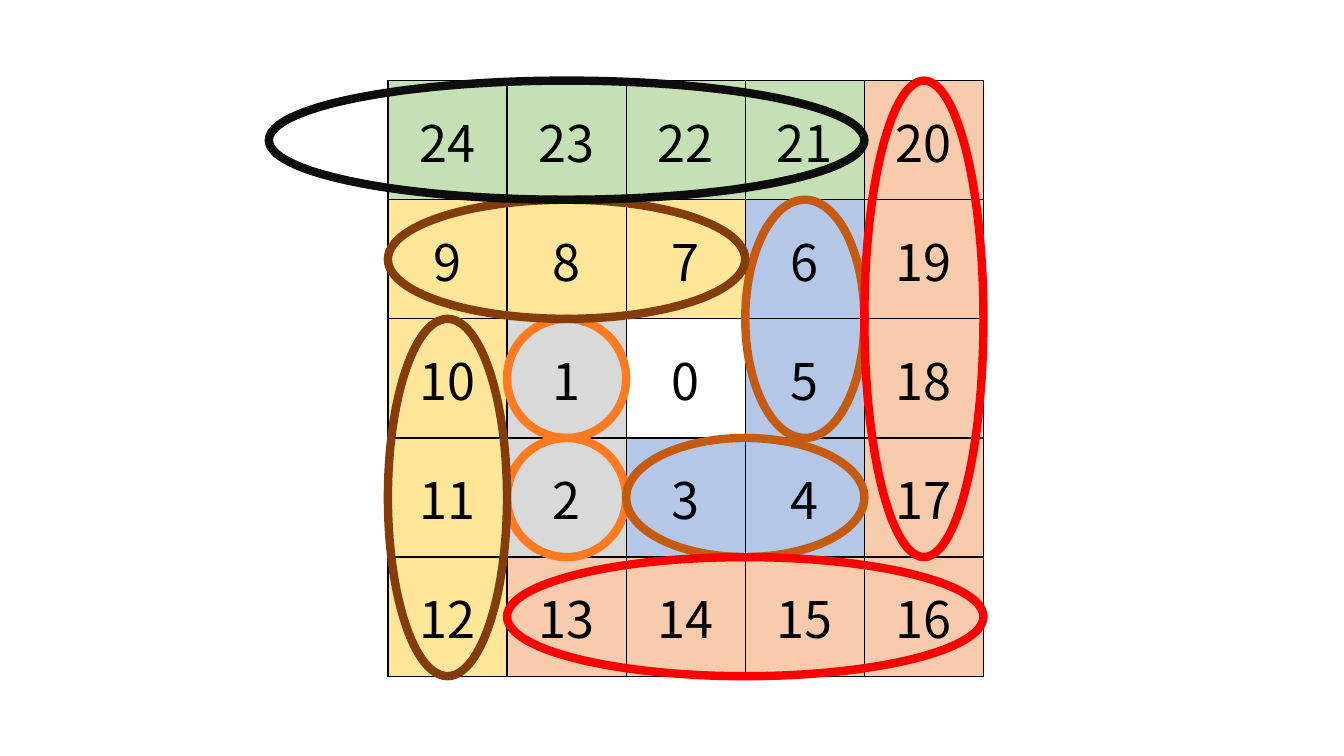
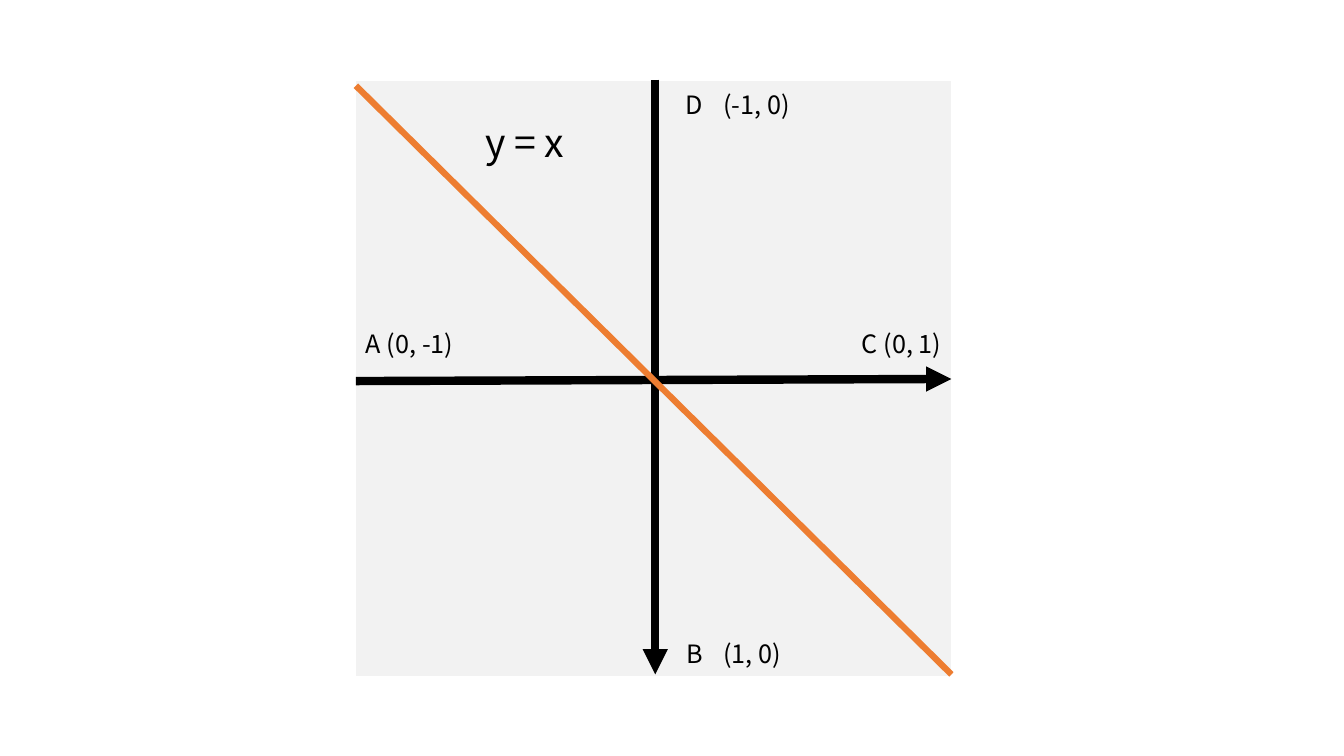
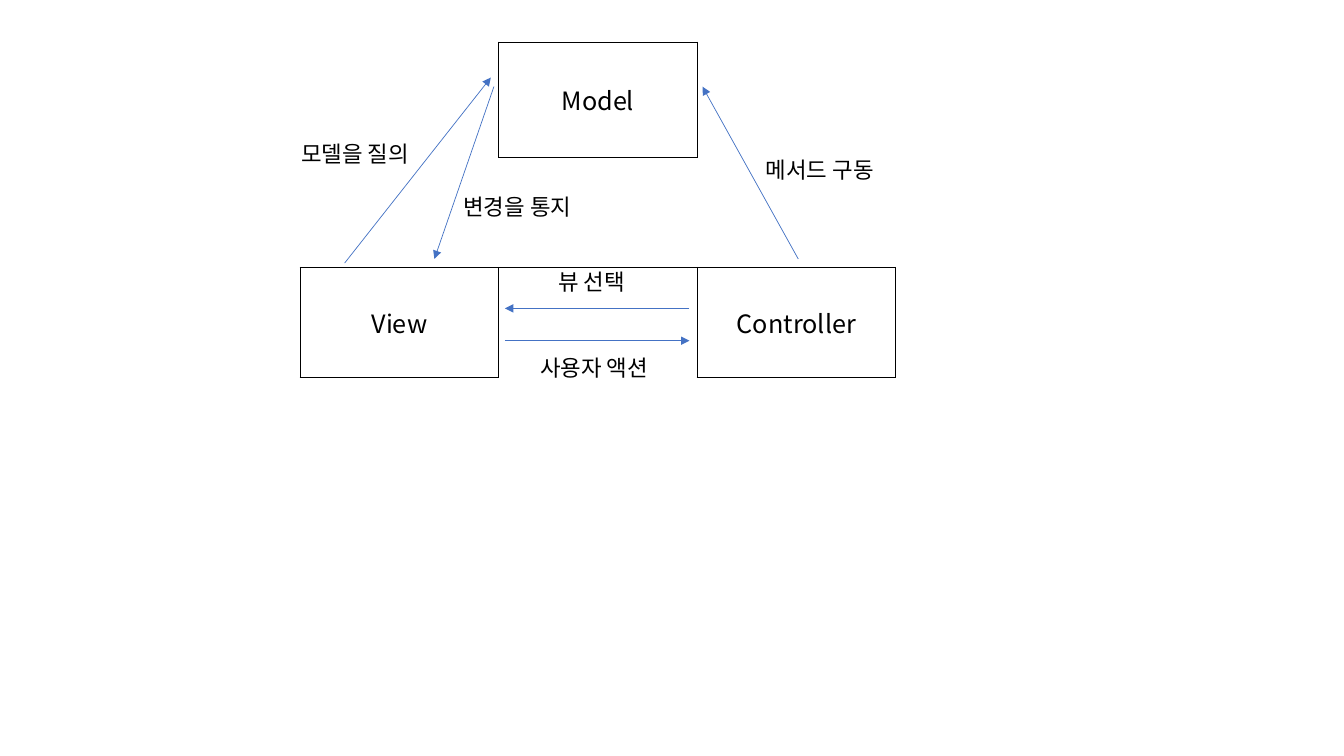
from itertools import product
from typing import NamedTuple

from lxml.etree import SubElement
from pptx import Presentation
from pptx.dml.color import RGBColor
from pptx.enum.shapes import MSO_CONNECTOR as Link, MSO_SHAPE as Shape
from pptx.enum.text import MSO_ANCHOR as Anchor, MSO_AUTO_SIZE as Auto, PP_ALIGN as Align
from pptx.oxml.ns import qn
from pptx.slide import Slide
from pptx.table import Table, _Cell as Cell
from pptx.text.text import _Paragraph as Para
from pptx.util import Pt

FONT = "Noto Sans CJK KR"
BLACK = RGBColor(0x00, 0x00, 0x00)
WHITE = RGBColor(0xFF, 0xFF, 0xFF)
PALE = RGBColor(0xF2, 0xF2, 0xF2)
GRAY = RGBColor(0xD9, 0xD9, 0xD9)
SKY = RGBColor(0xB4, 0xC7, 0xE7)
SAND = RGBColor(0xFF, 0xE6, 0x99)
PEACH = RGBColor(0xF8, 0xCB, 0xAD)
GREEN = RGBColor(0xC5, 0xE0, 0xB4)
AMBER = RGBColor(0xFF, 0x7B, 0x21)
RUST = RGBColor(0xC5, 0x5A, 0x11)
BROWN = RGBColor(0x84, 0x3C, 0x0B)
RED = RGBColor(0xFF, 0x00, 0x00)
INK = RGBColor(0x0D, 0x0D, 0x0D)
ORANGE = RGBColor(0xED, 0x7D, 0x31)
BLUE = RGBColor(0x44, 0x72, 0xC4)

SIDE = 85.08  # edge of one square cell
TOP = 57.6
SIZE = 5  # cells per side of the square grids
ALL = "LRTB"


class Entry(NamedTuple):
    text: str
    size: float = 18
    align: Align = Align.CENTER
    anchor: Anchor = Anchor.MIDDLE


class Line(NamedTuple):
    x1: float
    y1: float
    x2: float
    y2: float
    color: RGBColor = BLUE
    width: float = 0.5
    arrow: bool = True


class Label(NamedTuple):
    text: str
    left: float
    top: float
    width: float


# Shared drawing functions
def style(para: Para, text: str, size: float, align: Align = Align.LEFT) -> None:
    para.text = text
    para.alignment = align
    font = para.font
    font.size, font.name = Pt(size), FONT
    font.color.rgb = BLACK
    SubElement(para._p.pPr.find(qn("a:defRPr")), qn("a:ea"), typeface=FONT)


def edge(cell: Cell, sides: str) -> None:
    props = cell._tc.get_or_add_tcPr()
    for side in ALL:
        line = SubElement(props, qn(f"a:ln{side}"), w=str(Pt(1)))
        if side in sides:
            fill = SubElement(line, qn("a:solidFill"))
            SubElement(fill, qn("a:srgbClr"), val=str(BLACK))
        else:
            SubElement(line, qn("a:noFill"))


def fill_cell(cell: Cell, entry: Entry | None, color: RGBColor | None, sides: str) -> None:
    edge(cell, sides)
    if color is None:
        cell.fill.background()
    else:
        cell.fill.solid()
        cell.fill.fore_color.rgb = color
    if entry:
        cell.vertical_anchor = entry.anchor
        style(cell.text_frame.paragraphs[0], entry.text, entry.size, entry.align)


def add_grid(slide: Slide, count: int, left: float, top: float, width: float, height: float) -> Table:
    frame = slide.shapes.add_table(count, count, Pt(left), Pt(top), Pt(width), Pt(height))
    table = frame.table
    table.first_row = table.horz_banding = False
    return table


def add_line(slide: Slide, line: Line) -> None:
    ends = (Pt(v) for v in line[:4])
    link = slide.shapes.add_connector(Link.STRAIGHT, *ends)
    link.line.color.rgb = line.color
    link.line.width = Pt(line.width)
    props = link.element.spPr
    if line.arrow:
        SubElement(props.find(qn("a:ln")), qn("a:tailEnd"), type="triangle")
    SubElement(props, qn("a:effectLst"))


def add_oval(slide: Slide, left: float, top: float, width: float, height: float, color: RGBColor) -> None:
    oval = slide.shapes.add_shape(Shape.OVAL, Pt(left), Pt(top), Pt(width), Pt(height))
    oval.shadow.inherit = False
    oval.fill.background()
    oval.line.color.rgb = color
    oval.line.width = Pt(6)


def add_label(slide: Slide, label: Label) -> None:
    box = slide.shapes.add_textbox(Pt(label.left), Pt(label.top), Pt(label.width), Pt(26.6))
    frame = box.text_frame
    frame.word_wrap = False
    frame.auto_size = Auto.SHAPE_TO_FIT_TEXT
    style(frame.paragraphs[0], label.text, 16)


# Slide 1: numbers spiral out from the centre, one oval for each leg
def draw_spiral(slide: Slide) -> None:
    left = 277.1
    fills = (GRAY, SKY, SAND, PEACH, GREEN)
    rings = (AMBER, RUST, BROWN, RED, INK)
    turns = ((0, -1), (1, 0), (0, 1), (-1, 0))
    table = add_grid(slide, SIZE, left, TOP, SIZE * SIDE, SIZE * SIDE)

    row = col = SIZE // 2
    fill_cell(table.cell(row, col), Entry("0", 36), WHITE, ALL)
    num = 0
    for leg in range(2 * SIZE - 1):
        pair = leg // 2
        down, right = turns[leg % 4]
        steps = []
        for _ in range(pair + 1):
            row, col, num = row + down, col + right, num + 1
            steps.append((row, col))
            if col >= 0:  # the last leg runs one step past the grid
                fill_cell(table.cell(row, col), Entry(str(num), 36), fills[pair], ALL)
        (y1, x1), (y2, x2) = min(steps), max(steps)
        add_oval(slide, left + x1 * SIDE, TOP + y1 * SIDE,
                 (x2 - x1 + 1) * SIDE, (y2 - y1 + 1) * SIDE, rings[pair])


# Slide 2: axes with the row axis pointing down
def draw_axes(slide: Slide) -> None:
    left = 254.2
    right = left + SIZE * SIDE
    marks = {
        (0, 1): Entry("y = x", 28, Align.LEFT),
        (0, 2): Entry("D", 18, Align.RIGHT, Anchor.TOP),
        (0, 3): Entry("(-1, 0)", 18, Align.LEFT, Anchor.TOP),
        (2, 0): Entry("A (0, -1)", 18, Align.LEFT, Anchor.TOP),
        (2, 4): Entry("C (0, 1)", 18, Align.RIGHT, Anchor.TOP),
        (4, 2): Entry("B", 18, Align.RIGHT, Anchor.BOTTOM),
        (4, 3): Entry("(1, 0)", 18, Align.LEFT, Anchor.BOTTOM),
    }
    table = add_grid(slide, SIZE, left, TOP, SIZE * SIDE, SIZE * SIDE)
    for spot in product(range(SIZE), repeat=2):
        fill_cell(table.cell(*spot), marks.get(spot), PALE, "")
    for line in (
        Line(left, 272.2, right, 270.7, BLACK, 6),
        Line(468, 56.9, 468, 481.7, BLACK, 6),
        Line(left, 61.2, right, 481.7, ORANGE, 4.5, False),
    ):
        add_line(slide, line)


# Slide 3: model, view and controller
def draw_mvc(slide: Slide) -> None:
    parts = {(0, 1): Entry("Model"), (2, 0): Entry("View"), (2, 2): Entry("Controller")}
    sides = (("R", ALL, "L"), ("B", "TB", "B"), (ALL, "LRT", ALL))
    table = add_grid(slide, 3, 214.4, 30.2, 425.4, 239.6)
    for row, high in zip(table.rows, (82.2, 78.7, 78.7)):
        row.height = Pt(high)
    for row, col in product(range(3), repeat=2):
        fill_cell(table.cell(row, col), parts.get((row, col)), None, sides[row][col])
    for line in (
        Line(352.8, 61.9, 310.3, 185),
        Line(246.2, 187.9, 350.6, 55.4),
        Line(570.2, 185, 501.8, 61.9),
        Line(492.5, 220.3, 360.7, 220.3),
        Line(360.7, 243.4, 492.5, 243.4),
    ):
        add_line(slide, line)
    for label in (
        Label("사용자 액션", 378.7, 249.1, 100.8),
        Label("뷰 선택", 391.7, 187.9, 68.4),
        Label("메서드 구동", 540, 108, 100.8),
        Label("변경을 통지", 324, 134.6, 100.8),
        Label("모델을 질의", 208.1, 96.5, 100.8),
    ):
        add_label(slide, label)


def main() -> None:
    deck = Presentation()
    deck.slide_width, deck.slide_height = Pt(960), Pt(540)
    blank = deck.slide_layouts[6]
    for draw in (draw_spiral, draw_axes, draw_mvc):
        draw(deck.slides.add_slide(blank))
    deck.save("out.pptx")


if __name__ == "__main__":
    main()
